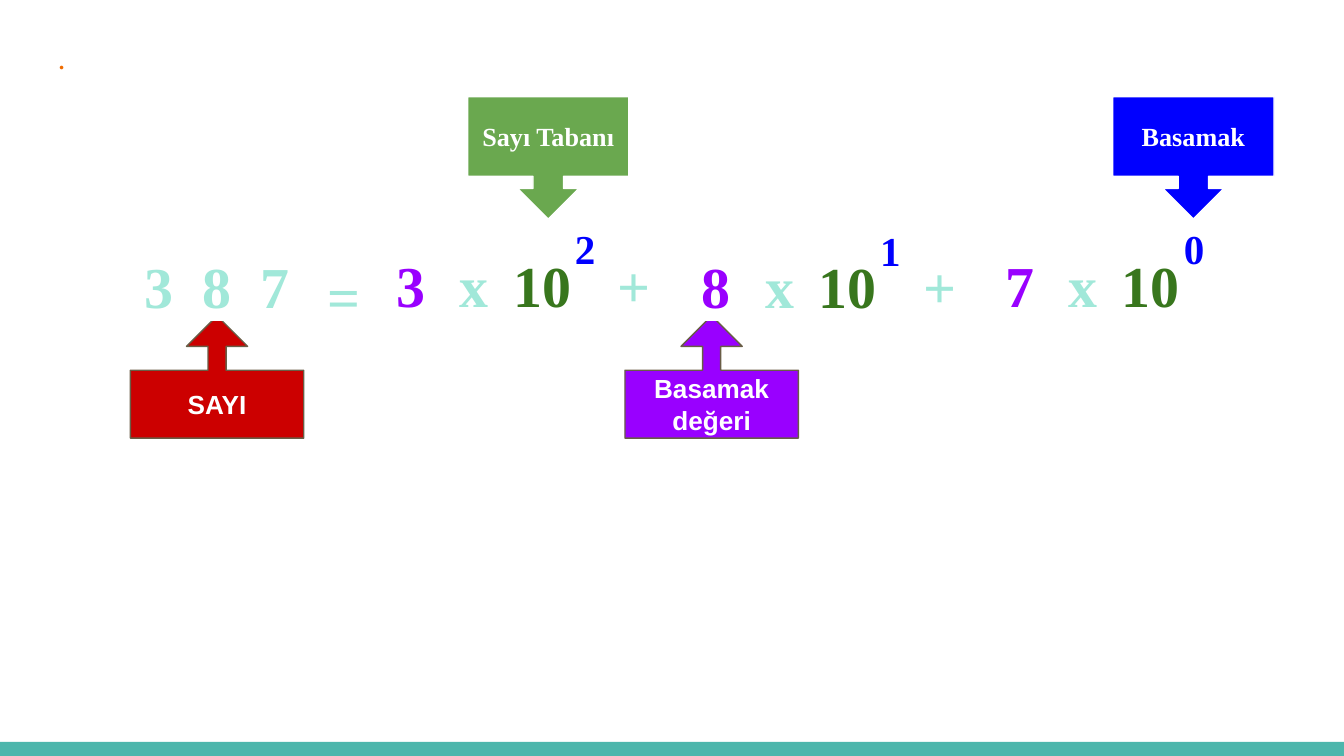
from typing import NamedTuple, Optional

from lxml.etree import SubElement
from pptx import Presentation
from pptx.dml.color import RGBColor
from pptx.enum.shapes import MSO_SHAPE as Preset
from pptx.enum.text import MSO_ANCHOR as Anchor, PP_ALIGN as Align
from pptx.oxml.ns import qn
from pptx.util import Inches, Pt

WHITE = RGBColor(0xFF, 0xFF, 0xFF)
TEAL = RGBColor(0x4D, 0xB6, 0xAC)
MINT = RGBColor(0xA1, 0xE8, 0xD9)
ORANGE = RGBColor(0xEF, 0x6C, 0x00)
RED = RGBColor(0xCC, 0x00, 0x00)
GREEN = RGBColor(0x6A, 0xA8, 0x4F)
DARK_GREEN = RGBColor(0x38, 0x76, 0x1D)
PURPLE = RGBColor(0x99, 0x00, 0xFF)
BLUE = RGBColor(0x00, 0x00, 0xFF)
BROWN = RGBColor(0x69, 0x5D, 0x46)
SERIF, SANS = "Times New Roman", "Arial"


class CalloutStyle(NamedTuple):
    preset: Preset
    top: float
    width: float
    adjustments: tuple[float, ...]
    outline: RGBColor
    font: str


class Callout(NamedTuple):
    label: str
    left: float
    fill: RGBColor
    style: CalloutStyle


class Term(NamedTuple):
    digit: str
    exponent: str
    left: float
    top: float
    plus: bool


UPWARD = CalloutStyle(Preset.UP_ARROW_CALLOUT, 2.35, 1.29,
                      (0.148, 0.25, 0.25, 0.555), BROWN, SANS)
DOWNWARD = CalloutStyle(Preset.DOWN_ARROW_CALLOUT, 0.72, 1.2,
                        (0.25, 0.25, 0.25, 0.65), WHITE, SERIF)
CALLOUTS = [
    Callout("SAYI", 0.97, RED, UPWARD),
    Callout("Sayı Tabanı", 3.48, GREEN, DOWNWARD),
    Callout("Basamak değeri", 4.65, PURPLE, UPWARD),
    Callout("Basamak", 8.28, BLUE, DOWNWARD),
]
TERMS = [
    Term("3", "2", 2.68, 1.68, True),
    Term("8", "1", 4.95, 1.69, True),
    Term("7", "0", 7.21, 1.68, False),
]


def write(frame, text: str, *, size: float, color: RGBColor, font: str = SERIF,
          align: Align = Align.LEFT, anchor: Anchor = Anchor.TOP,
          line_spacing: float = 1.0, tracking: float = 0,
          highlight: Optional[RGBColor] = None) -> None:
    frame.word_wrap = True
    frame.vertical_anchor = anchor
    frame.margin_left = frame.margin_right = Inches(0.1)
    frame.margin_top = frame.margin_bottom = Inches(0.1)
    paragraph = frame.paragraphs[0]
    paragraph.alignment = align
    paragraph.line_spacing = line_spacing
    run = paragraph.add_run()
    run.text = text
    run.font.size = Pt(size)
    run.font.bold = True
    run.font.color.rgb = color
    properties = run.font._element
    if tracking:
        properties.set("spc", str(round(tracking * 100)))
    if highlight is not None:
        marker = SubElement(properties, qn("a:highlight"))
        SubElement(marker, qn("a:srgbClr")).set("val", str(highlight))
    run.font.name = font


def add_text(slide, text: str, left: float, top: float, width: float = 0.76,
             height: float = 0.59, **text_format) -> None:
    box = slide.shapes.add_textbox(Inches(left), Inches(top), Inches(width), Inches(height))
    write(box.text_frame, text, **text_format)


def add_symbol(slide, text: str, left: float, top: float, color: RGBColor = MINT,
               align: Align = Align.CENTER, **options) -> None:
    add_text(slide, text, left, top, size=31, color=color, align=align,
             line_spacing=1.15, highlight=WHITE, **options)


def add_callout(slide, callout: Callout) -> None:
    style = callout.style
    shape = slide.shapes.add_shape(style.preset, Inches(callout.left), Inches(style.top),
                                   Inches(style.width), Inches(0.91))
    for index, value in enumerate(style.adjustments):
        shape.adjustments[index] = value
    shape.shadow.inherit = False
    shape.fill.solid()
    shape.fill.fore_color.rgb = callout.fill
    shape.line.color.rgb = style.outline
    shape.line.width = Pt(0.75)
    write(shape.text_frame, callout.label, size=14, color=WHITE, font=style.font,
          align=Align.CENTER, anchor=Anchor.MIDDLE)


def add_term(slide, term: Term) -> None:
    left, top = term.left, term.top
    add_symbol(slide, term.digit, left, top, PURPLE)
    add_symbol(slide, "x", left + 0.47, top)
    add_symbol(slide, "10", left + 1.04, top, DARK_GREEN, Align.LEFT)
    if term.plus:
        add_symbol(slide, "+", left + 1.82, top, align=Align.LEFT)
    add_text(slide, term.exponent, left + 1.5, top - 0.17, 0.5, 0.37,
             size=22, color=BLUE, line_spacing=1.15)


def main() -> None:
    deck = Presentation()
    deck.slide_width, deck.slide_height = Inches(10), Inches(5.625)
    slide = deck.slides.add_slide(deck.slide_layouts[6])

    # Footer band
    band = slide.shapes.add_shape(Preset.RECTANGLE, 0, Inches(5.52), Inches(10), Inches(0.11))
    band.shadow.inherit = False
    band.fill.solid()
    band.fill.fore_color.rgb = TEAL
    band.line.fill.background()

    # Heading
    add_text(slide, ".", 0.34, 0.25, 9.32, 0.39, size=12, color=ORANGE, highlight=WHITE)

    # Callouts lie behind the equation
    for callout in CALLOUTS:
        add_callout(slide, callout)

    # Equation: the number and its expansion in powers of ten
    add_symbol(slide, "3 8 7", 0.9, 1.69, width=1.43, tracking=3.9)
    add_symbol(slide, "=", 2.18, 1.76, height=0.48)
    for term in TERMS:
        add_term(slide, term)

    deck.save("out.pptx")


if __name__ == "__main__":
    main()
